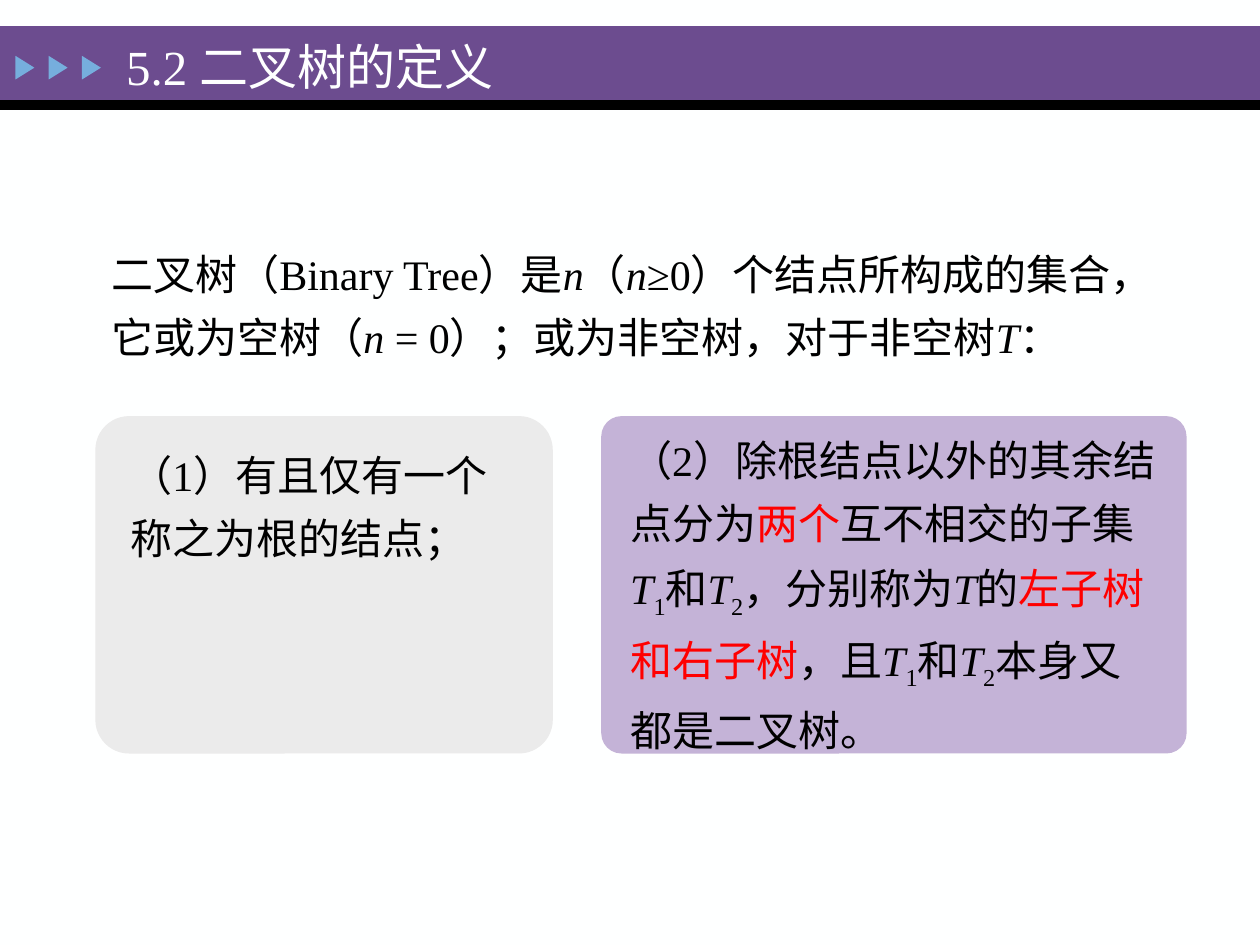
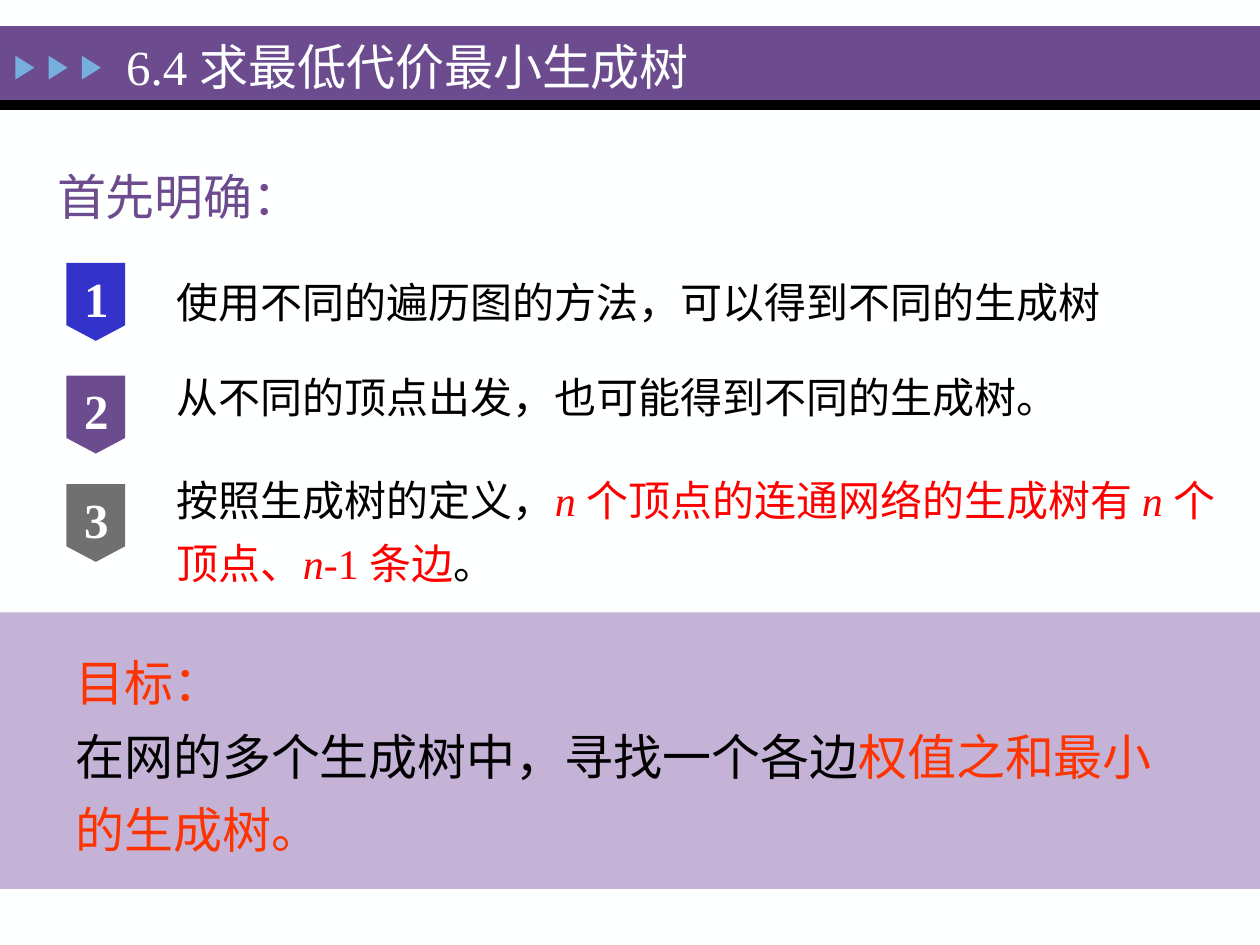
from pptx import Presentation
from pptx.dml.color import RGBColor
from pptx.enum import shapes, text
from pptx.util import Pt

PAPER = RGBColor(0xFE, 0xFF, 0xFF)
PURPLE = RGBColor(0x6C, 0x4C, 0x8F)
LILAC = RGBColor(0xC4, 0xB3, 0xD7)
SKY = RGBColor(0x76, 0xAE, 0xDD)
BLUE = RGBColor(0x33, 0x33, 0xCC)
GREY = RGBColor(0x70, 0x70, 0x70)
PALE = RGBColor(0xEB, 0xEB, 0xEB)
BLACK = RGBColor(0, 0, 0)
WHITE = RGBColor(255, 255, 255)
RED = RGBColor(255, 0, 0)
ORANGE = RGBColor(0xFF, 0x33, 0)
FONT = "Times New Roman"
SHAPE = shapes.MSO_SHAPE
MIDDLE = text.MSO_ANCHOR.MIDDLE


def add_block(page, kind, frame, fill):
    block = page.shapes.add_shape(kind, *map(Pt, frame))
    block.shadow.inherit = False
    block.fill.solid()
    block.fill.fore_color.rgb = fill
    block.line.fill.background()
    return block


def add_text(page, frame, paragraphs, size, color=BLACK, spacing=1.25, gaps=(0,)):
    box = page.shapes.add_textbox(*map(Pt, frame))
    box.text_frame.word_wrap = True
    for index, pieces in enumerate(paragraphs):
        para = box.text_frame.paragraphs[0] if index == 0 else box.text_frame.add_paragraph()
        para.line_spacing = spacing
        if index:
            para.space_before = Pt(gaps[index])
        for words, style, *accent in pieces:
            span = para.add_run()
            span.text = words
            span.font.name = FONT
            span.font.size = Pt(size)
            span.font.color.rgb = accent[0] if accent else color
            if style == "italic":
                span.font.italic = True
            elif style == "bold":
                span.font.bold = True
            elif style == "sub":
                span.font._element.set("baseline", "-25000")
    return box


deck = Presentation()
deck.slide_width, deck.slide_height = Pt(720), Pt(540)

pages = []
for title, width in (("5.2 二叉树的定义", 250), ("6.4 求最低代价最小生成树", 402.5)):
    page = deck.slides.add_slide(deck.slide_layouts[6])
    page.background.fill.solid()
    page.background.fill.fore_color.rgb = PAPER
    add_block(page, SHAPE.RECTANGLE, (0, 15, 720, 42.5), PURPLE)
    add_block(page, SHAPE.RECTANGLE, (0, 57.3, 720, 5.5), BLACK)
    for column in range(3):
        arrow = add_block(page, SHAPE.ISOSCELES_TRIANGLE, (7.5 + 19 * column, 33.3, 13.5, 10.8), SKY)
        arrow.rotation = 90
    heading = add_text(page, (65, 17.5, width, 40.3), [[(title, "")]], 28, PAPER, 1)
    heading.text_frame.vertical_anchor = MIDDLE
    pages.append(page)
definition, spanning = pages

for frame, fill, radius in (
    ((54.5, 237.8, 261.4, 192.8), PALE, 0.1),
    ((343.6, 237.8, 334.5, 192.8), LILAC, 0.06),
):
    card = add_block(definition, SHAPE.ROUNDED_RECTANGLE, frame, fill)
    card.adjustments[0] = radius

add_text(definition, (56.5, 131, 616, 76), [[
    ("二叉树（Binary Tree）是", ""), ("n", "italic"), ("（", ""), ("n", "italic"),
    ("≥0）个结点所构成的集合，它或为空树（", ""), ("n ", "italic"),
    ("= 0）；或为非空树，对于非空树", ""), ("T", "italic"), ("：", ""),
]], 24)
add_text(definition, (67.5, 246.2, 221, 80), [[("（1）有且仅有一个称之为根的结点；", "")]], 24)
subtrees = [("T", "italic"), ("1", "sub"), ("和", ""), ("T", "italic"), ("2", "sub")]
add_text(definition, (353, 237.8, 317.5, 193), [[
    ("（2）除根结点以外的其余结点分为", ""), ("两个", "", RED), ("互不相交的子集", ""),
    *subtrees, ("，分别称为", ""), ("T", "italic"), ("的", ""),
    ("左子树和右子树", "", RED), ("，且", ""), *subtrees, ("本身又都是二叉树。", ""),
]], 24)

add_block(spanning, SHAPE.RECTANGLE, (0, 350, 720, 158), LILAC)
add_text(spanning, (25.5, 83, 682, 46), [[("首先明确：", "")]], 28, PURPLE)
add_text(spanning, (36, 361, 648, 135), [
    [("目标：", "", ORANGE)],
    [("在网的多个生成树中，寻找一个各边", ""), ("权值之和最小的生成树。", "", ORANGE)],
], 28, gaps=(0, 0))
add_text(spanning, (94, 147, 608.5, 197), [
    [("使用不同的遍历图的方法，可以得到不同的生成树", "")],
    [("从不同的顶点出发，也可能得到不同的生成树。", "")],
    [("按照生成树的定义，", ""), ("n ", "italic", RED), ("个顶点的连通网络的生成树有 ", "", RED),
     ("n ", "italic", RED), ("个顶点、", "", RED), ("n-", "italic", RED),
     ("1 条边", "", RED), ("。", "")],
], 24, gaps=(0, 18.4, 23))

for number, (top, fill) in enumerate(((150.3, BLUE), (214.7, PURPLE), (276.6, GREY)), 1):
    add_block(spanning, SHAPE.FLOWCHART_OFFPAGE_CONNECTOR, (38, top, 33.5, 44.5), fill)
    badge = add_text(spanning, (36, top - 2.3, 38, 44), [[(str(number), "bold")]], 28, WHITE, 1)
    badge.text_frame.vertical_anchor = MIDDLE
    badge.text_frame.paragraphs[0].alignment = text.PP_ALIGN.CENTER

deck.save("out.pptx")
